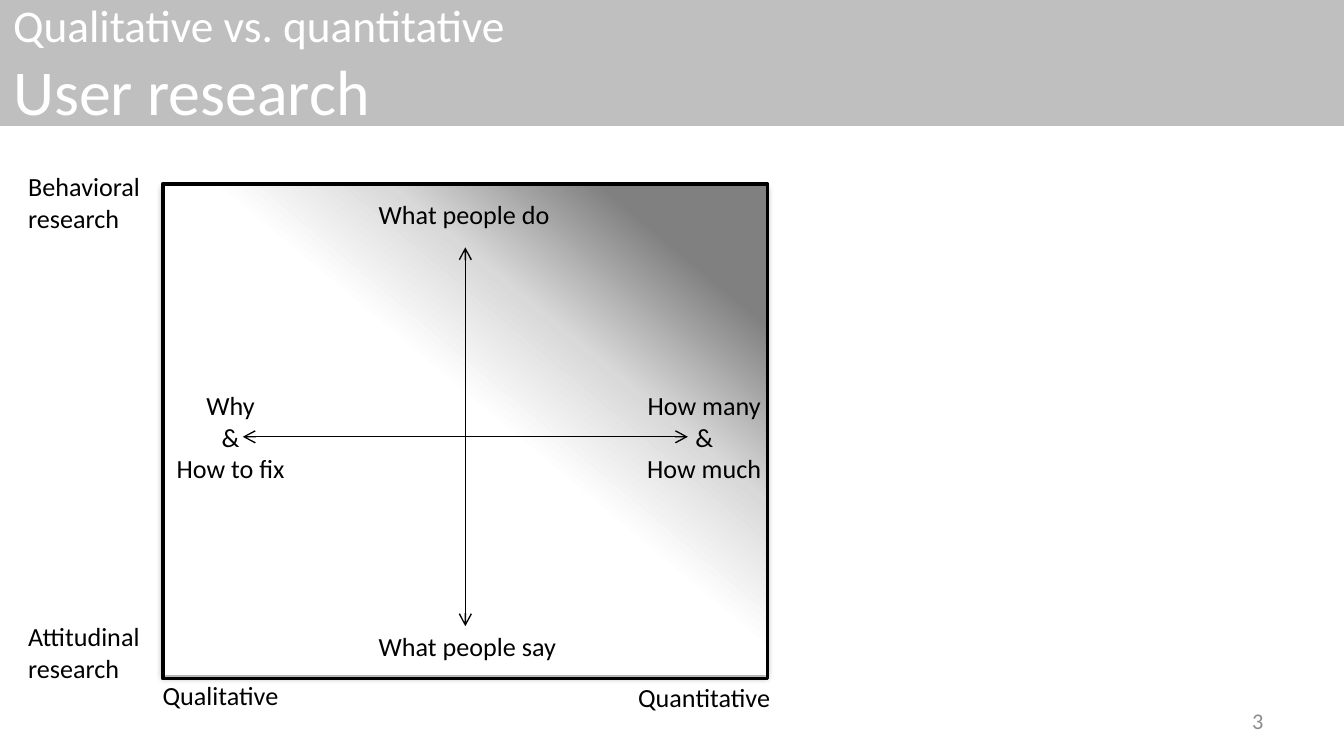
from lxml.etree import SubElement
from pptx import Presentation
from pptx.dml.color import RGBColor
from pptx.enum.shapes import MSO_CONNECTOR, MSO_SHAPE
from pptx.enum.text import MSO_ANCHOR, MSO_AUTO_SIZE, PP_ALIGN
from pptx.oxml.ns import qn
from pptx.util import Pt

COLORS = {
    "black": "000000",
    "white": "FFFFFF",
    "band": "BFBFBF",
    "number": "8C8C8C",
    "dark": "808080",
    "light": "D9D9D9",
}


class SlideBuilder:
    font = "Calibri"
    label_size = 14

    def __init__(self, slide):
        self.slide = slide

    def color(self, name):
        return RGBColor.from_string(COLORS[name])

    def fill_text(self, frame, lines, sizes, color, align=PP_ALIGN.LEFT):
        frame.text = "\n".join(lines)
        for paragraph, size in zip(frame.paragraphs, sizes):
            paragraph.alignment = align
            for span in paragraph.runs:
                span.font.name = self.font
                span.font.size = Pt(size)
                span.font.color.rgb = self.color(color)

    def rectangle(self, left, top, width, height, fill=None, line=None):
        box = self.slide.shapes.add_shape(
            MSO_SHAPE.RECTANGLE, Pt(left), Pt(top), Pt(width), Pt(height))
        box.shadow.inherit = False
        if fill:
            box.fill.solid()
            box.fill.fore_color.rgb = self.color(fill)
        else:
            box.fill.background()
        if line:
            box.line.color.rgb = self.color(line)
            box.line.width = Pt(2)
        else:
            box.line.fill.background()
        return box

    def gradient(self, box, stops, angle):
        box.fill.gradient()
        box.fill.gradient_angle = angle
        stop_list = box._element.spPr.find(".//" + qn("a:gsLst"))
        for stop in list(stop_list):
            stop_list.remove(stop)
        for position, name in stops:
            stop = SubElement(stop_list, qn("a:gs"), pos=str(position * 1000))
            SubElement(stop, qn("a:srgbClr"), val=COLORS[name])

    def drop_shadow(self, box, blur, distance, opacity):
        effects = box._element.spPr.find(qn("a:effectLst"))
        shadow = SubElement(
            effects, qn("a:outerShdw"), blurRad=str(Pt(blur)),
            dist=str(Pt(distance)), dir="5400000", rotWithShape="0")
        color = SubElement(shadow, qn("a:srgbClr"), val=COLORS["black"])
        SubElement(color, qn("a:alpha"), val=str(opacity * 1000))

    def arrow(self, start, end):
        arrow = self.slide.shapes.add_connector(
            MSO_CONNECTOR.STRAIGHT, *(Pt(value) for value in (*start, *end)))
        arrow.line.color.rgb = self.color("black")
        arrow.line.width = Pt(0.75)
        outline = arrow._element.spPr.find(qn("a:ln"))
        SubElement(outline, qn("a:tailEnd"), type="arrow")
        SubElement(arrow._element.spPr, qn("a:effectLst"))

    def label(self, left, top, width, height, lines, align=PP_ALIGN.LEFT):
        box = self.slide.shapes.add_textbox(
            Pt(left), Pt(top), Pt(width), Pt(height))
        frame = box.text_frame
        frame.word_wrap = False
        frame.auto_size = MSO_AUTO_SIZE.SHAPE_TO_FIT_TEXT
        self.fill_text(frame, lines, [self.label_size] * len(lines), "black", align)

    def title_band(self, lines, sizes):
        band = self.rectangle(0, 0, 720, 67.5, fill="band")
        band.text_frame.vertical_anchor = MSO_ANCHOR.MIDDLE
        self.fill_text(band.text_frame, lines, sizes, "white")

    def page_number(self, number):
        box = self.slide.shapes.add_textbox(Pt(516), Pt(375), Pt(168), Pt(21.5))
        box.text_frame.word_wrap = True
        box.text_frame.vertical_anchor = MSO_ANCHOR.MIDDLE
        self.fill_text(box.text_frame, [number], [12], "number", PP_ALIGN.RIGHT)


def main():
    deck = Presentation()
    deck.slide_width, deck.slide_height = Pt(720), Pt(405)
    builder = SlideBuilder(deck.slides.add_slide(deck.slide_layouts[6]))

    field = builder.rectangle(87.2, 98.5, 324, 263)
    builder.gradient(field, [(14, "dark"), (32, "light"), (47, "white")], 230)
    builder.drop_shadow(field, 3.1, 1.8, 35)

    builder.title_band(["Qualitative vs. quantitative", "User research"], [24.3, 34.2])

    center_x, center_y = 249.3, 234
    reach_x, reach_y = 119.2, 101.5
    for across, down in [(-1, 0), (0, -1), (1, 0), (0, 1)]:
        builder.arrow((center_x, center_y),
                      (center_x + across * reach_x, center_y + down * reach_y))

    builder.rectangle(87.2, 98.5, 324, 265, line="black")

    builder.label(87.2, 205.2, 72.7, 58.3, ["Why", "&", "How to fix"], PP_ALIGN.CENTER)
    builder.label(337.7, 205.2, 79.2, 58.3, ["How many", "&", "How much"], PP_ALIGN.CENTER)
    builder.label(195.8, 103, 107.3, 24.5, ["What people do"])
    builder.label(195.8, 334, 110.9, 24.5, ["What people say"])
    builder.label(8, 88, 78.5, 41, ["Behavioral", "research"])
    builder.label(8, 329, 78.5, 41, ["Attitudinal", "research"])
    builder.label(80, 360.7, 77.8, 24.5, ["Qualitative"])
    builder.label(334.8, 361.5, 86.4, 24.5, ["Quantitative"])
    builder.page_number("3")

    deck.save("out.pptx")


if __name__ == "__main__":
    main()
